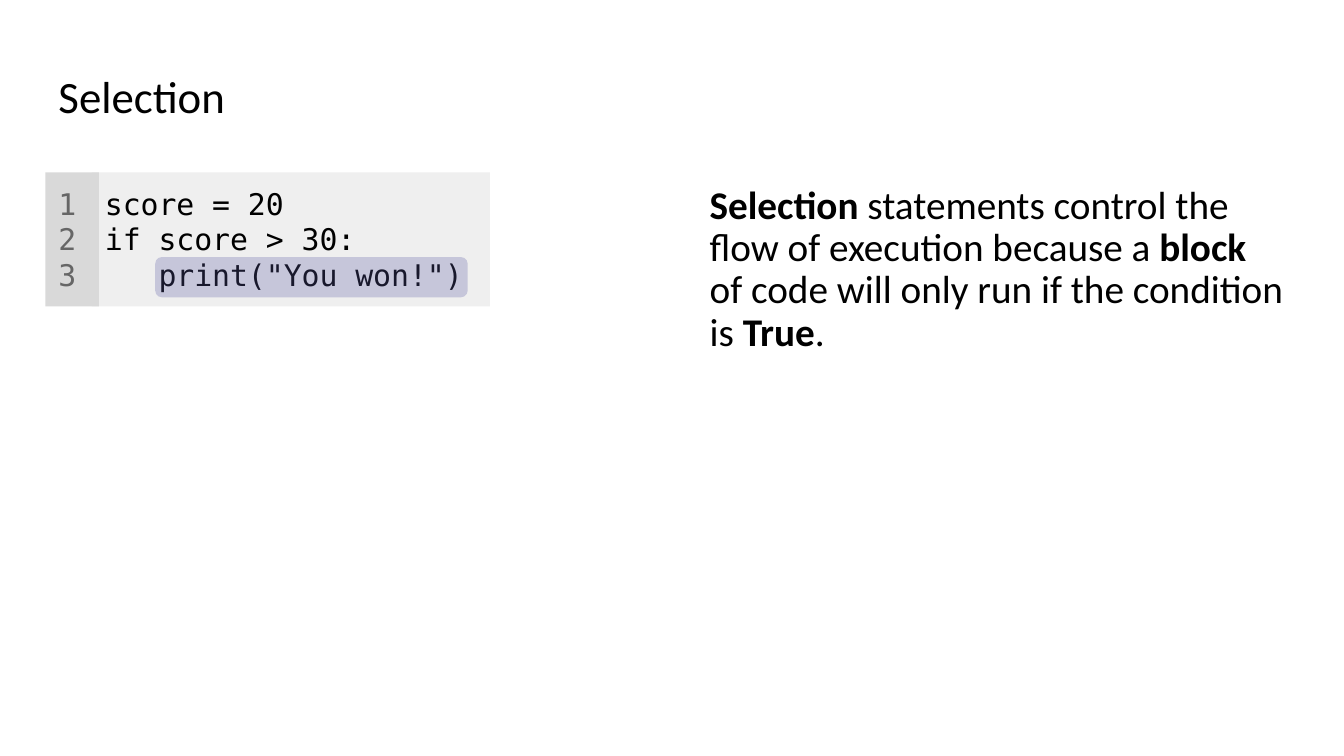
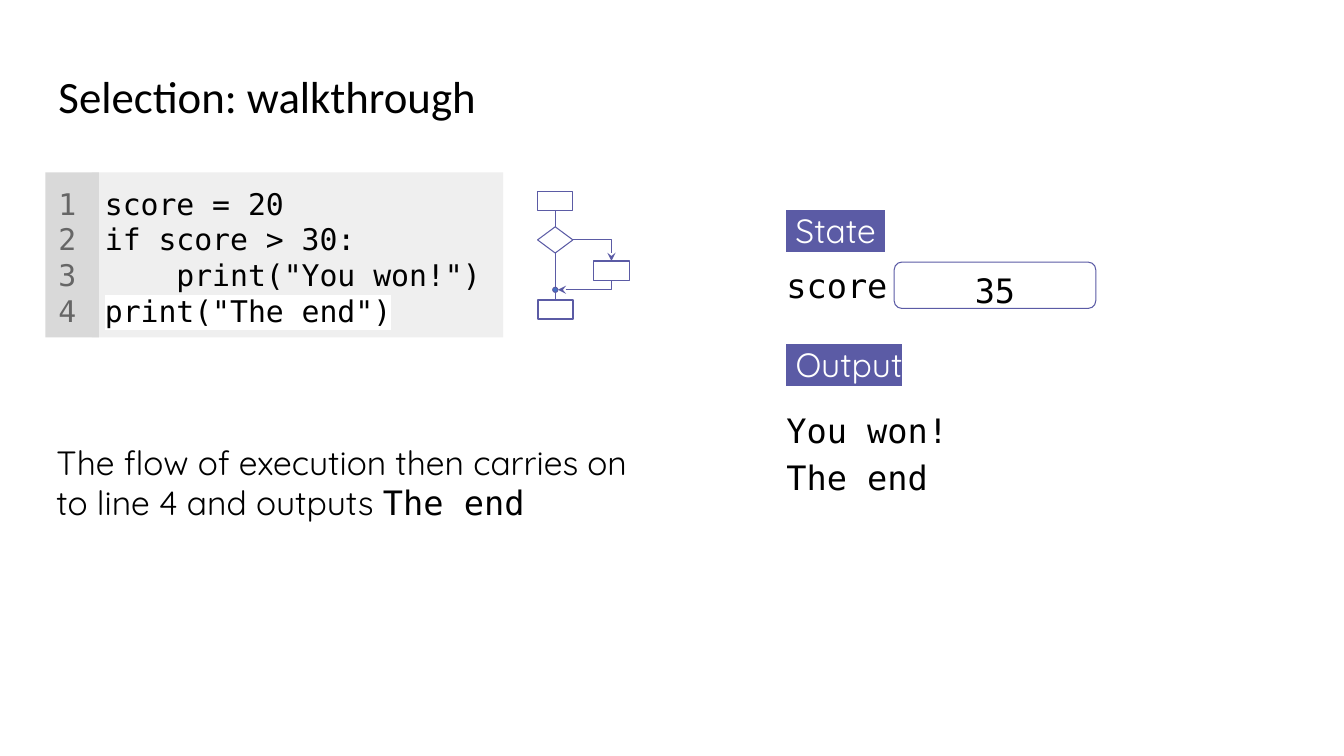
from dataclasses import dataclass
from typing import Optional

from lxml.etree import SubElement
from pptx import Presentation
from pptx.dml.color import RGBColor
from pptx.enum.shapes import MSO_CONNECTOR, MSO_SHAPE
from pptx.enum.text import MSO_ANCHOR, PP_ALIGN
from pptx.oxml.ns import qn
from pptx.oxml.xmlchemy import OxmlElement
from pptx.util import Inches, Pt


@dataclass(frozen=True)
class Theme:
    black: str = "000000"
    white: str = "FFFFFF"
    accent: str = "5B5BA5"
    dot: str = "4472C4"
    code_fill: str = "EFEFEF"
    gutter_fill: str = "D9D9D9"
    gutter_text: str = "666666"
    title_font: str = "Calibri"
    code_font: str = "DejaVu Sans Mono"
    label_font: str = "Quicksand"
    title_size: float = 32
    body_size: float = 28
    note_size: float = 24
    code_size: float = 21.3
    inset: float = 0.13
    thin: float = 0.75
    thick: float = 1.5


THEME = Theme()
WIDTH, HEIGHT = Inches(13.33), Inches(7.5)


def across(columns: float) -> int:
    """Length of columns, each one hundredth of the slide width."""
    return round(WIDTH * columns / 100)


def down(rows: float) -> int:
    """Length of rows, each one hundredth of the slide height."""
    return round(HEIGHT * rows / 100)


@dataclass(frozen=True)
class Box:
    column: float
    row: float
    columns: float
    rows: float

    def place(self) -> tuple[int, int, int, int]:
        return across(self.column), down(self.row), across(self.columns), down(self.rows)


@dataclass(frozen=True)
class Style:
    font: str
    size: float
    color: str = THEME.black
    bold: bool = False
    highlight: Optional[str] = None


@dataclass(frozen=True)
class Span:
    text: str
    style: Style


TITLE = Style(THEME.title_font, THEME.title_size)
BODY = Style(THEME.title_font, THEME.body_size)
STRONG = Style(THEME.title_font, THEME.body_size, bold=True)
CODE = Style(THEME.code_font, THEME.code_size)
CODE_CURRENT = Style(THEME.code_font, THEME.code_size, highlight=THEME.white)
LINE_NUMBER = Style(THEME.code_font, THEME.code_size, THEME.gutter_text)
NOTE = Style(THEME.label_font, THEME.note_size)
CONSOLE = Style(THEME.code_font, THEME.note_size)
LABEL = Style(THEME.label_font, THEME.note_size, THEME.white, highlight=THEME.accent)

# Shared columns and rows
LEFT = 3.38
CONTENT_TOP = 22.8
STATE_COLUMN = 57.53
LABEL_ROWS = 7.07


# Text
def add_run(paragraph, span: Span) -> None:
    run = paragraph.add_run()
    run.text = span.text
    style = span.style
    font = run.font
    font.size, font.bold, font.name = Pt(style.size), style.bold, style.font
    font.color.rgb = RGBColor.from_string(style.color)
    if style.highlight:
        highlight = OxmlElement("a:highlight")
        SubElement(highlight, qn("a:srgbClr")).set("val", style.highlight)
        run._r.rPr.find(qn("a:solidFill")).addnext(highlight)


def write(shape, lines: list[list[Span]], spacing: float = 1.0,
          anchor=MSO_ANCHOR.TOP, align=PP_ALIGN.LEFT,
          insets: tuple[float, float, float, float] = (THEME.inset,) * 4) -> None:
    frame = shape.text_frame
    frame.word_wrap = True
    frame.vertical_anchor = anchor
    (frame.margin_left, frame.margin_top,
     frame.margin_right, frame.margin_bottom) = map(Inches, insets)
    for number, spans in enumerate(lines):
        paragraph = frame.add_paragraph() if number else frame.paragraphs[0]
        paragraph.alignment = align
        paragraph.line_spacing = spacing
        for span in spans:
            add_run(paragraph, span)


def add_text(slide, box: Box, lines: list[list[Span]], **layout) -> None:
    write(slide.shapes.add_textbox(*box.place()), lines, **layout)


# Shapes and lines
def add_figure(slide, kind, box: Box, fill: Optional[str] = None,
               line: Optional[str] = None, weight: float = THEME.thin):
    shape = slide.shapes.add_shape(kind, *box.place())
    shape.shadow.inherit = False
    if fill:
        shape.fill.solid()
        shape.fill.fore_color.rgb = RGBColor.from_string(fill)
    else:
        shape.fill.background()
    if line:
        shape.line.color.rgb = RGBColor.from_string(line)
        shape.line.width = Pt(weight)
    else:
        shape.line.fill.background()
    return shape


def add_link(slide, kind, start: tuple[int, int], end: tuple[int, int],
             arrow: Optional[str] = None):
    connector = slide.shapes.add_connector(kind, *start, *end)
    connector.line.color.rgb = RGBColor.from_string(THEME.accent)
    connector.line.width = Pt(THEME.thin)
    properties = connector._element.spPr
    if arrow:
        SubElement(properties.find(qn("a:ln")), qn(arrow)).set("type", "stealth")
    SubElement(properties, qn("a:effectLst"))
    return connector


def join_down(slide, upper, lower) -> None:
    """Straight line from the bottom of one shape to the top of another."""
    connector = add_link(slide, MSO_CONNECTOR.STRAIGHT, (0, 0), (0, 0))
    connector.begin_connect(upper, 2)
    connector.end_connect(lower, 0)


def add_corner(slide, start: tuple[int, int], end: tuple[int, int], arrow: str) -> None:
    """Line that runs across first, then turns once."""
    connector = add_link(slide, MSO_CONNECTOR.ELBOW, start, end, arrow)
    connector._element.spPr.find(qn("a:prstGeom")).set("prst", "bentConnector2")


# Parts of the slides
def start_slide(presentation, title: str):
    slide = presentation.slides.add_slide(presentation.slide_layouts[6])
    add_text(slide, Box(LEFT, 6.27, 93.23, 13.6), [[Span(title, TITLE)]],
             spacing=0.9, anchor=MSO_ANCHOR.MIDDLE)
    return slide


def add_code(slide, columns: float, lines: list[Span]) -> None:
    rows = 5.33 + 4.13 * len(lines)
    numbers = [Span(str(number), LINE_NUMBER) for number in range(1, len(lines) + 1)]
    panels = ((Box(6.83, CONTENT_TOP, columns, rows), THEME.code_fill, lines),
              (Box(LEFT, CONTENT_TOP, 3.98, rows), THEME.gutter_fill, numbers))
    for box, fill, spans in panels:
        panel = add_figure(slide, MSO_SHAPE.RECTANGLE, box, fill)
        write(panel, [[span] for span in spans])


def add_label(slide, text: str, row: float, columns: float) -> None:
    add_text(slide, Box(STATE_COLUMN, row, columns, LABEL_ROWS), [[Span(text, LABEL)]],
             spacing=1.14, insets=(0.13, 0.13, 0.08, 0.13))


def add_flowchart(slide) -> None:
    column, columns, rows = 40, 2.63, 2.53

    def step(kind, left: float, row: float, high: float = rows, weight: float = THEME.thin):
        return add_figure(slide, kind, Box(left, row, columns, high),
                          line=THEME.accent, weight=weight)

    first = step(MSO_SHAPE.RECTANGLE, column, 25.33)
    decision = step(MSO_SHAPE.FLOWCHART_DECISION, column, 30, 3.47)
    branch = step(MSO_SHAPE.RECTANGLE, 44.18, 34.53)
    last = step(MSO_SHAPE.RECTANGLE, column, 39.73, weight=THEME.thick)
    join_down(slide, first, decision)
    join_down(slide, decision, last)

    # Junction where the branch returns
    junction = add_figure(slide, MSO_SHAPE.OVAL,
                          Box(column + columns / 2 - 0.19, 38, 0.38, 0.67),
                          THEME.dot, THEME.accent)
    branch_middle = branch.left + branch.width // 2
    add_corner(slide, (decision.left + decision.width, decision.top + decision.height // 2),
               (branch_middle, branch.top), "a:tailEnd")
    add_corner(slide, (junction.left + junction.width, junction.top + junction.height // 2),
               (branch_middle, branch.top + branch.height), "a:headEnd")


# Slides
def build_selection(presentation) -> None:
    slide = start_slide(presentation, "Selection")
    add_text(slide, Box(51.83, CONTENT_TOP, 44.78, 71.2), [[
        Span("Selection ", STRONG),
        Span("statements control the flow of execution because a ", BODY),
        Span("block ", STRONG),
        Span("of code will only run if the condition is ", BODY),
        Span("True", STRONG),
        Span(".", BODY),
    ]], spacing=0.9)
    add_code(slide, 29.63, [Span("score = 20", CODE), Span("if score > 30:", CODE),
                            Span('   print("You won!")', CODE)])
    marker = add_figure(slide, MSO_SHAPE.ROUNDED_RECTANGLE,
                        Box(11.55, 34, 23.25, 5.33), THEME.accent)
    color = marker._element.spPr.find(qn("a:solidFill")).find(qn("a:srgbClr"))
    SubElement(color, qn("a:alpha")).set("val", "27000")


def build_walkthrough(presentation) -> None:
    slide = start_slide(presentation, "Selection: walkthrough")
    add_code(slide, 30.6, [Span("score = 20", CODE), Span("if score > 30:", CODE),
                           Span('    print("You won!")', CODE),
                           Span('print("The end")', CODE_CURRENT)])
    add_flowchart(slide)

    # State and output
    add_label(slide, " State ", 25.33, 23.25)
    add_text(slide, Box(STATE_COLUMN, 32.53, 13.43, LABEL_ROWS),
             [[Span("score", CONSOLE)]], spacing=1.15)
    value = add_figure(slide, MSO_SHAPE.ROUNDED_RECTANGLE,
                       Box(66.53, 34.67, 15, 6.13), line=THEME.accent)
    write(value, [[Span("35", CONSOLE)]], spacing=1.15, anchor=MSO_ANCHOR.MIDDLE,
          align=PP_ALIGN.CENTER, insets=(0.13, 0.03, 0.13, 0))
    add_label(slide, " Output", 43.07, 10.5)
    add_text(slide, Box(STATE_COLUMN, 51.73, 39, 30.13),
             [[Span("You won!", CONSOLE)], [Span("The end", CONSOLE)]], spacing=1.15)

    # Explanation
    add_text(slide, Box(3.23, 56.67, 45.75, 27.07), [[
        Span("The flow of execution then carries on to line 4 and outputs ", NOTE),
        Span("The end", CONSOLE),
    ]])


def main() -> None:
    presentation = Presentation()
    presentation.slide_width, presentation.slide_height = WIDTH, HEIGHT
    build_selection(presentation)
    build_walkthrough(presentation)
    presentation.save("out.pptx")


if __name__ == "__main__":
    main()
